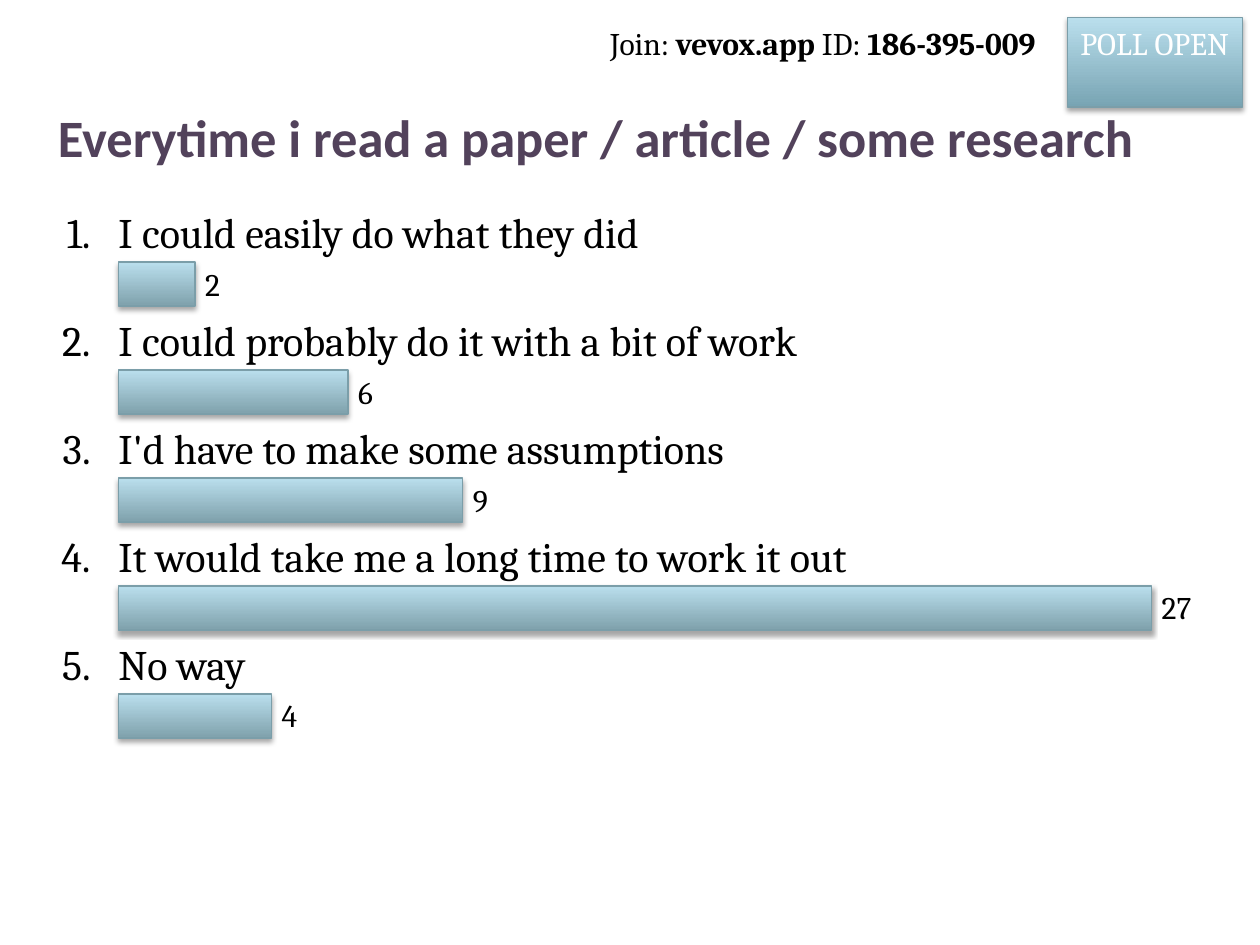
from lxml import etree
from pptx import Presentation
from pptx.dml.color import RGBColor
from pptx.enum.shapes import MSO_SHAPE
from pptx.enum.text import MSO_ANCHOR, MSO_AUTO_SIZE, PP_ALIGN
from pptx.oxml.ns import qn
from pptx.util import Inches, Pt

RECTANGLE = MSO_SHAPE.RECTANGLE
LEFT, CENTER, RIGHT = PP_ALIGN.LEFT, PP_ALIGN.CENTER, PP_ALIGN.RIGHT
TOP, MIDDLE = MSO_ANCHOR.TOP, MSO_ANCHOR.MIDDLE
FIT_SHAPE = MSO_AUTO_SIZE.SHAPE_TO_FIT_TEXT
COLORS = {
    "title": "52425B",
    "text": "000000",
    "white": "FFFFFF",
    "light": "BADFED",
    "bar": "7FA1AC",
    "badge": "78A4B3",
    "line": "7B9EA9",
    "shadow": "000000",
}
COLUMNS, ROWS = 100, 75
TITLE_ONLY = 5

ANSWERS = [
    ("I could easily do what they did", 2),
    ("I could probably do it with a bit of work", 6),
    ("I'd have to make some assumptions", 9),
    ("It would take me a long time to work it out", 27),
    ("No way", 4),
]
MARGIN, BAR_LEFT, LONGEST_BAR = 3.6, 9.4, 82
FIRST_ROW, ROW_PITCH = 15.8, 8.57


def rgb(name):
    return RGBColor.from_string(COLORS[name])


def write_text(frame, runs, size=24, font="Cambria", color="text", bold=False,
               align=LEFT, anchor=TOP, insets=(0.1, 0.05, 0.1, 0.05), wrap=True):
    frame.word_wrap = wrap
    frame.vertical_anchor = anchor
    (frame.margin_left, frame.margin_top,
     frame.margin_right, frame.margin_bottom) = map(Inches, insets)
    paragraph = frame.paragraphs[0]
    paragraph.alignment = align
    for content, run_bold in [(runs, bold)] if isinstance(runs, str) else runs:
        run = paragraph.add_run()
        run.text = content
        run.font.name = font
        run.font.size = Pt(size)
        run.font.bold = run_bold
        run.font.color.rgb = rgb(color)


class PollSlide:
    def __init__(self, presentation):
        self.column = presentation.slide_width / COLUMNS
        self.row = presentation.slide_height / ROWS
        self.slide = presentation.slides.add_slide(presentation.slide_layouts[TITLE_ONLY])

    def place(self, left, top, width, height):
        return (round(left * self.column), round(top * self.row),
                round(width * self.column), round(height * self.row))

    def title(self, content, *box):
        shape = self.slide.shapes.title
        shape.left, shape.top, shape.width, shape.height = self.place(*box)
        write_text(shape.text_frame, content, size=30, font="Calibri",
                   color="title", bold=True, anchor=MIDDLE)

    def text(self, content, *box, **text_format):
        shape = self.slide.shapes.add_textbox(*self.place(*box))
        write_text(shape.text_frame, content, **text_format)
        shape.text_frame.auto_size = FIT_SHAPE

    def panel(self, base, *box):
        shape = self.slide.shapes.add_shape(RECTANGLE, *self.place(*box))
        shape.fill.gradient()
        shape.fill.gradient_angle = 90
        for stop, name in zip(shape.fill.gradient_stops, (base, "light")):
            stop.color.rgb = rgb(name)
        shape.line.color.rgb = rgb("line")
        shape.line.width = Pt(0.75)
        self.shadow(shape)
        return shape

    def shadow(self, shape):
        shape.shadow.inherit = False
        effects = shape.element.spPr.find(qn("a:effectLst"))
        outer = etree.SubElement(effects, qn("a:outerShdw"), blurRad=str(Pt(3.1)),
                                 dist=str(Pt(1.8)), dir="5400000", rotWithShape="0")
        color = etree.SubElement(outer, qn("a:srgbClr"), val=COLORS["shadow"])
        etree.SubElement(color, qn("a:alpha"), val="35000")

    def badge(self, content, *box):
        shape = self.panel("badge", *box)
        write_text(shape.text_frame, content, size=18, color="white", align=CENTER)

    def answer(self, number, content, votes, top, length):
        self.text(f"{number}.", MARGIN, top, 5.8, 4.6, align=RIGHT,
                  insets=(0.1, 0.06, 0.22, 0), wrap=False)
        self.text(content, BAR_LEFT, top, 87, 4.9, insets=(0, 0.06, 0, 0.03))
        self.text(str(votes), BAR_LEFT + length, top + 5.2, 0.8 + 1.4 * len(str(votes)), 3,
                  size=18, insets=(0.08, 0, 0, 0), wrap=False)
        self.panel("bar", BAR_LEFT, top + 5, length, 3.5)


def main():
    presentation = Presentation()
    presentation.slide_width, presentation.slide_height = Inches(10), Inches(7.5)
    poll = PollSlide(presentation)
    poll.title("Everytime i read a paper / article / some research", MARGIN, 7.5, 92.8, 6.7)
    poll.badge("POLL OPEN", 84.7, 1.4, 13.9, 7.1)
    most_votes = max(votes for _, votes in ANSWERS)
    for index, (content, votes) in enumerate(ANSWERS):
        poll.answer(index + 1, content, votes, FIRST_ROW + index * ROW_PITCH,
                    LONGEST_BAR * votes / most_votes)
    poll.text([("Join: ", False), ("vevox.app", True), (" ID: ", False), ("186-395-009", True)],
              45.8, 1.4, 39, 4, size=18, align=CENTER, wrap=False)
    presentation.save("out.pptx")


if __name__ == "__main__":
    main()
